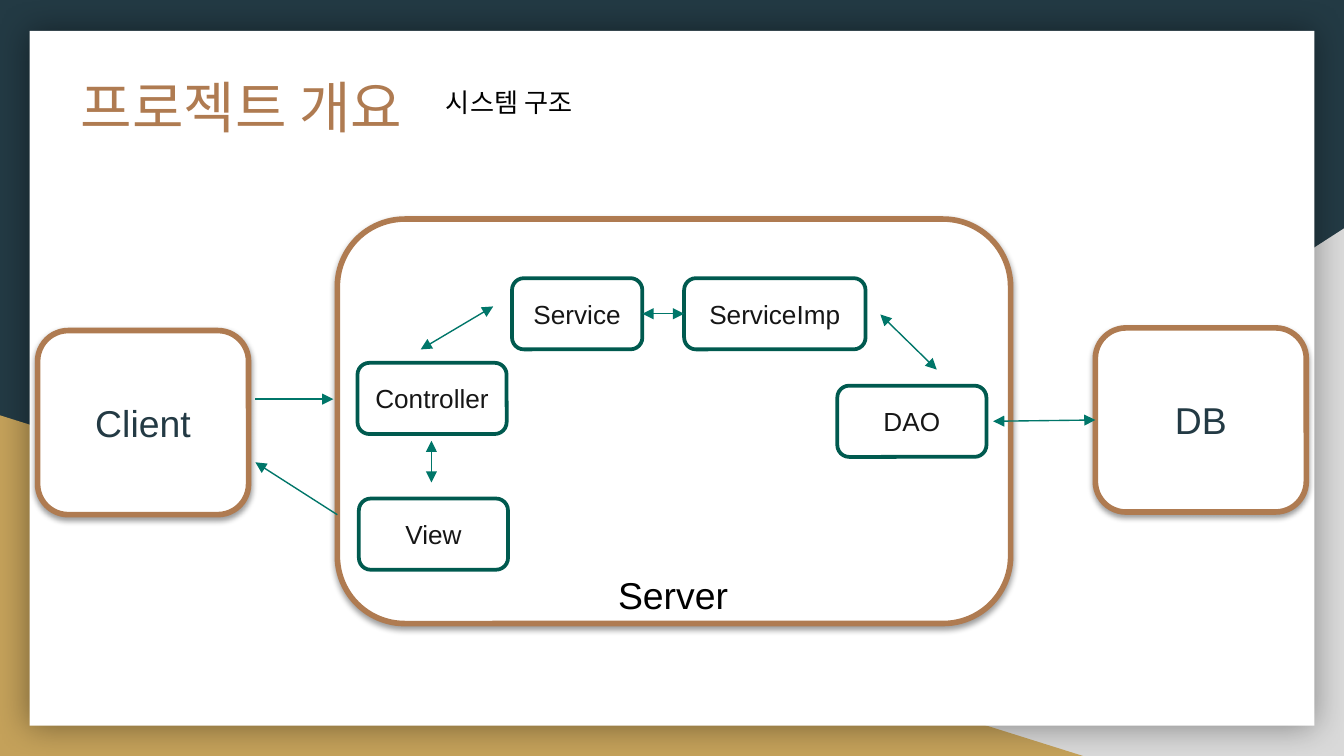
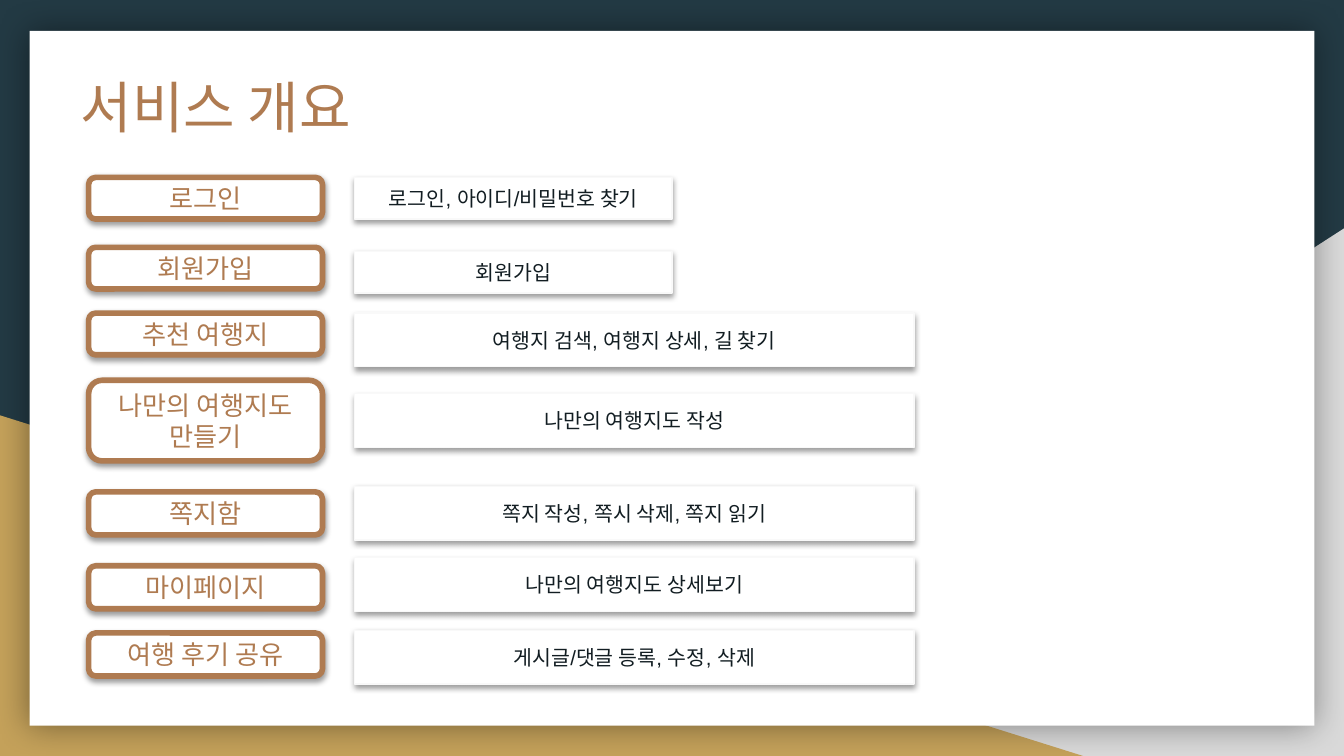
"""Build two slides: a system structure diagram and a service overview."""
from dataclasses import dataclass
from typing import NamedTuple, Optional

from lxml import etree
from pptx import Presentation
from pptx.dml.color import RGBColor
from pptx.enum.shapes import MSO_CONNECTOR, MSO_SHAPE
from pptx.enum.text import MSO_ANCHOR, MSO_AUTO_SIZE, PP_ALIGN
from pptx.oxml.ns import qn
from pptx.shapes.autoshape import Shape
from pptx.slide import Slide, SlideLayout
from pptx.text.text import TextFrame
from pptx.util import Emu, Pt

ROUNDED = MSO_SHAPE.ROUNDED_RECTANGLE
RECTANGLE = MSO_SHAPE.RECTANGLE
TRIANGLE = MSO_SHAPE.RIGHT_TRIANGLE
STRAIGHT = MSO_CONNECTOR.STRAIGHT
TOP, MIDDLE = MSO_ANCHOR.TOP, MSO_ANCHOR.MIDDLE
LEFT, CENTER = PP_ALIGN.LEFT, PP_ALIGN.CENTER
NO_FIT, GROW = MSO_AUTO_SIZE.NONE, MSO_AUTO_SIZE.SHAPE_TO_FIT_TEXT
LEFT_SIDE, RIGHT_SIDE = 1, 3

EMU_PER_PX = 4572
DECK_WIDTH, DECK_HEIGHT = 2000, 1125
TITLE_ONLY = 5


@dataclass(frozen=True)
class Theme:
    """Colours, font and type sizes of the deck."""
    font: str = "Arial"
    navy: str = "233A44"
    grey: str = "D9D9D9"
    gold: str = "C4A15A"
    white: str = "FFFFFF"
    black: str = "000000"
    copper: str = "AF7B51"
    green: str = "005A4F"
    arrow: str = "007669"
    ink: str = "161616"
    dark: str = "121D22"
    pale: str = "F9F9F9"
    title_size: int = 30
    large_size: int = 20
    medium_size: int = 14
    small_size: int = 11


THEME = Theme()


class Area(NamedTuple):
    """A rectangle in px."""
    left: int
    top: int
    width: int
    height: int


class Point(NamedTuple):
    """A place in px."""
    x: int
    y: int


class Shadow(NamedTuple):
    """A black outer shadow: opacity in percent, the rest in points and degrees."""
    opacity: int
    blur: float
    distance: float
    angle: int


CARD_SHADOW = Shadow(38, 3.1, 1.6, 90)
PAGE_SHADOW = Shadow(40, 18, 0, 0)


@dataclass(frozen=True)
class BoxStyle:
    """The look of one family of boxes."""
    preset: int = RECTANGLE
    fill: str = THEME.white
    line: Optional[str] = None
    weight: float = 0
    shadow: Optional[Shadow] = None
    size: int = THEME.medium_size
    color: str = THEME.black


PAGE = BoxStyle(shadow=PAGE_SHADOW)
GREY_CORNER = BoxStyle(TRIANGLE, THEME.grey)
GOLD_CORNER = BoxStyle(TRIANGLE, THEME.gold)
TIER = BoxStyle(ROUNDED, line=THEME.copper, weight=3, shadow=CARD_SHADOW,
                size=THEME.large_size, color=THEME.navy)
COMPONENT = BoxStyle(ROUNDED, line=THEME.green, weight=2, color=THEME.ink)
SERVICE = BoxStyle(ROUNDED, line=THEME.copper, weight=3, shadow=CARD_SHADOW,
                   color=THEME.copper)
DETAIL = BoxStyle(line=THEME.pale, weight=0.75, shadow=CARD_SHADOW,
                  size=THEME.small_size, color=THEME.dark)


@dataclass(frozen=True)
class Node:
    """A named box of the diagram."""
    name: str
    area: Area
    style: BoxStyle = COMPONENT
    labelled: bool = True


@dataclass(frozen=True)
class Link:
    """An arrow, joined to the named nodes where it meets a side's middle."""
    start: Point
    end: Point
    two_way: bool = True
    leaves: Optional[str] = None
    enters: Optional[str] = None


@dataclass(frozen=True)
class ServiceRow:
    """A service and the functions it offers."""
    name: str
    name_top: int
    name_height: int
    detail: str
    detail_top: int
    wide: bool = True


NODES = (
    Node("Client", Area(56, 492, 314, 274), TIER),
    Node("Server", Area(502, 326, 1002, 602), TIER, labelled=False),
    Node("Controller", Area(532, 540, 222, 106)),
    Node("Service", Area(762, 414, 194, 106)),
    Node("View", Area(534, 742, 222, 106)),
    Node("ServiceImp", Area(1018, 414, 270, 106)),
    Node("DAO", Area(1246, 574, 222, 106)),
    Node("DB", Area(1630, 488, 314, 274), TIER),
)

LINKS = (
    Link(Point(642, 656), Point(642, 718)),
    Link(Point(734, 456), Point(626, 520)),
    Link(Point(1018, 467), Point(956, 467), leaves="ServiceImp", enters="Service"),
    Link(Point(1394, 550), Point(1310, 468)),
    Link(Point(1630, 625), Point(1478, 627), leaves="DB"),
    Link(Point(502, 766), Point(380, 688), two_way=False),
    Link(Point(380, 594), Point(496, 594), two_way=False),
)

SERVICE_ROWS = (
    ServiceRow("로그인", 264, 62, "로그인, 아이디/비밀번호 찾기", 264, wide=False),
    ServiceRow("회원가입", 368, 62, "회원가입", 374, wide=False),
    ServiceRow("추천 여행지", 466, 62, "여행지 검색, 여행지 상세, 길 찾기", 466),
    ServiceRow("나만의 여행지도 만들기", 566, 120, "나만의 여행지도 작성", 586),
    ServiceRow("쪽지함", 732, 64, "쪽지 작성, 쪽시 삭제, 쪽지 읽기", 724),
    ServiceRow("마이페이지", 842, 64, "나만의 여행지도 상세보기", 830),
    ServiceRow("여행 후기 공유", 942, 64, "게시글/댓글 등록, 수정, 삭제", 938),
)


def px(length: int) -> Emu:
    """Turn px into EMU."""
    return Emu(length * EMU_PER_PX)


def emu_area(area: Area) -> tuple[Emu, ...]:
    """Turn an area into EMU lengths."""
    return tuple(px(length) for length in area)


def rgb(color: str) -> RGBColor:
    """Turn a hex string into a colour."""
    return RGBColor.from_string(color)


def write(frame: TextFrame, text: str, *, size: int, color: str,
          align: int = LEFT, anchor: int = TOP, fit: int = NO_FIT) -> None:
    """Fill a text frame with one formatted paragraph."""
    frame.word_wrap = True
    frame.auto_size = fit
    frame.vertical_anchor = anchor
    para = frame.paragraphs[0]
    para.alignment = align
    span = para.add_run()
    span.text = text
    span.font.name = THEME.font
    span.font.size = Pt(size)
    span.font.color.rgb = rgb(color)


def cast_shadow(box: Shape, shadow: Shadow) -> None:
    """Give a box an outer shadow."""
    effects = box.element.spPr.find(qn("a:effectLst"))
    outer = etree.SubElement(
        effects, qn("a:outerShdw"), blurRad=str(Pt(shadow.blur)),
        dist=str(Pt(shadow.distance)), dir=str(shadow.angle * 60000),
        algn="ctr", rotWithShape="0")
    black = etree.SubElement(outer, qn("a:srgbClr"), val=THEME.black)
    etree.SubElement(black, qn("a:alpha"), val=str(shadow.opacity * 1000))


def draw_box(slide: Slide, area: Area, style: BoxStyle, text: str = "") -> Shape:
    """Draw a box in the given style, with centred text if any."""
    box = slide.shapes.add_shape(style.preset, *emu_area(area))
    box.shadow.inherit = False
    box.fill.solid()
    box.fill.fore_color.rgb = rgb(style.fill)
    if style.line:
        box.line.color.rgb = rgb(style.line)
        box.line.width = Pt(style.weight)
    else:
        box.line.fill.background()
    if style.shadow:
        cast_shadow(box, style.shadow)
    if text:
        write(box.text_frame, text, size=style.size, color=style.color,
              align=CENTER, anchor=MIDDLE)
    return box


def draw_note(slide: Slide, area: Area, text: str, size: int) -> None:
    """Draw a free line of black text."""
    note = slide.shapes.add_textbox(*emu_area(area))
    write(note.text_frame, text, size=size, color=THEME.black, fit=GROW)


def draw_link(slide: Slide, link: Link, boxes: dict[str, Shape]) -> None:
    """Draw an arrow and join it to its boxes."""
    arrow = slide.shapes.add_connector(
        STRAIGHT, *(px(length) for length in (*link.start, *link.end)))
    if link.leaves:
        arrow.begin_connect(boxes[link.leaves], LEFT_SIDE)
    if link.enters:
        arrow.end_connect(boxes[link.enters], RIGHT_SIDE)
    arrow.line.color.rgb = rgb(THEME.arrow)
    arrow.line.width = Pt(0.75)
    properties = arrow.element.spPr
    outline = properties.find(qn("a:ln"))
    for tag in ("a:headEnd", "a:tailEnd") if link.two_way else ("a:tailEnd",):
        etree.SubElement(outline, qn(tag), type="triangle")
    etree.SubElement(properties, qn("a:effectLst"))


def add_page(deck: Presentation, title: str) -> Slide:
    """Add a slide with its title."""
    slide = deck.slides.add_slide(deck.slide_layouts[TITLE_ONLY])
    heading = slide.shapes.title
    heading.left, heading.top, heading.width, heading.height = emu_area(
        Area(100, 88, 1406, 154))
    frame = heading.text_frame
    frame.margin_left = frame.margin_right = px(20)
    frame.margin_top = frame.margin_bottom = px(20)
    write(frame, title, size=THEME.title_size, color=THEME.copper)
    return slide


def set_backdrop(layout: SlideLayout, slide: Slide) -> None:
    """Draw the shared backdrop and hand it over to the layout."""
    layout.background.fill.solid()
    layout.background.fill.fore_color.rgb = rgb(THEME.navy)
    grey = draw_box(slide, Area(784, 340, 1216, 785), GREY_CORNER)
    grey.element.spPr.xfrm.set("flipH", "1")
    gold = draw_box(slide, Area(0, 618, 1612, 507), GOLD_CORNER)
    page = draw_box(slide, Area(44, 46, 1912, 1034), PAGE)
    for order, box in enumerate((grey, gold, page)):
        box.element.nvSpPr.cNvPr.set("id", str(100 + order))
        layout.shapes.element.insert(2 + order, box.element)


def fill_structure(slide: Slide) -> None:
    """Draw the system structure diagram."""
    draw_note(slide, Area(644, 118, 512, 68), "시스템 구조", THEME.medium_size)
    boxes = {node.name: draw_box(slide, node.area, node.style,
                                 node.name if node.labelled else "")
             for node in NODES}
    for link in LINKS:
        draw_link(slide, link, boxes)
    draw_note(slide, Area(900, 842, 296, 88), "Server", THEME.large_size)


def fill_services(slide: Slide) -> None:
    """Draw each service beside its functions."""
    for row in SERVICE_ROWS:
        draw_box(slide, Area(132, row.name_top, 348, row.name_height), SERVICE, row.name)
        width, height = (832, 80) if row.wide else (472, 62)
        draw_box(slide, Area(528, row.detail_top, width, height), DETAIL, row.detail)


def main() -> None:
    """Build and save the deck."""
    deck = Presentation()
    deck.slide_width, deck.slide_height = px(DECK_WIDTH), px(DECK_HEIGHT)
    structure = add_page(deck, "프로젝트 개요")
    set_backdrop(deck.slide_layouts[TITLE_ONLY], structure)
    fill_structure(structure)
    fill_services(add_page(deck, "서비스 개요"))
    deck.save("out.pptx")


if __name__ == "__main__":
    main()
